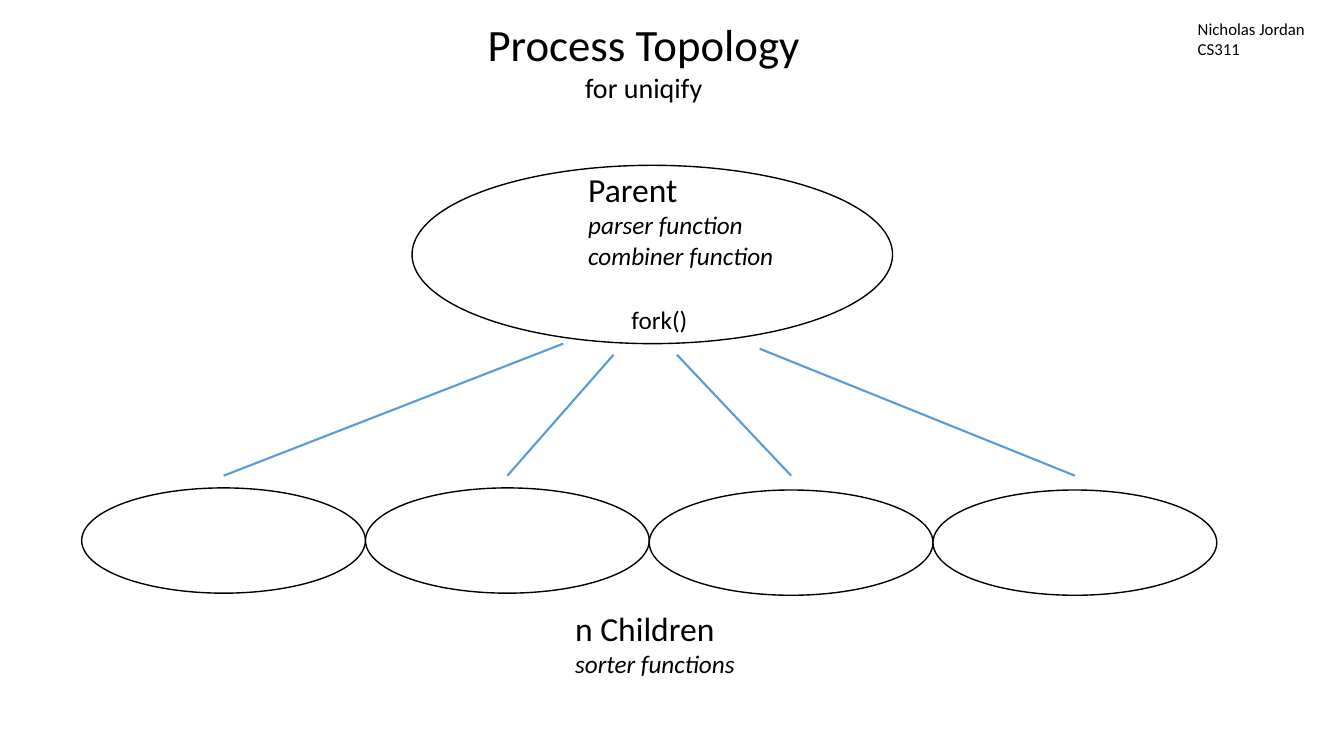
"""Build the process topology slide for uniqify."""
from dataclasses import dataclass
from pptx import Presentation
from pptx.dml.color import RGBColor as Color
from pptx.enum.shapes import MSO_CONNECTOR as Link, MSO_SHAPE as Shape
from pptx.enum.text import MSO_ANCHOR as Anchor, MSO_AUTO_SIZE as Fit, PP_ALIGN as Align
from pptx.oxml.ns import qn
from pptx.util import Pt
from lxml.etree import SubElement


@dataclass(frozen=True)
class Theme:
    font: str = "Calibri"
    ink: Color = Color(0, 0, 0)
    paper: Color = Color(255, 255, 255)
    link: Color = Color(0x5B, 0x9B, 0xD5)
    title: int = 32
    sub: int = 20
    head: int = 24
    body: int = 18
    note: int = 12
    edge: float = 1
    stroke: float = 1.5


THEME = Theme()
SIZE = (960.48, 540)

TITLE = [("Process Topology", THEME.title, False), ("for uniqify", THEME.sub, False)]
TITLE_BOX = (339.8, 8.6, 240.5, 69.8)
LABELS = [
    ((444.2, 213.8, 60, 28.8), [("fork()", THEME.body, False)]),
    ((413.3, 117.4, 166.3, 79.2), [
        ("Parent", THEME.head, False),
        ("parser function", THEME.body, True),
        ("combiner function", THEME.body, True),
    ]),
    ((403.9, 430.6, 140, 57.6), [
        ("n Children", THEME.head, False),
        ("sorter functions", THEME.body, True),
    ]),
    ((848.9, 10.1, 100, 36), [
        ("Nicholas Jordan", THEME.note, False),
        ("CS311", THEME.note, False),
    ]),
]
PARENT = (294.5, 118.1, 343.4, 127.4)
CHILD_LEFT, CHILD_WIDE, CHILD_HIGH = 58.4, 202.8, 75.2
CHILD_TOPS = [348.5, 348.5, 350, 350]
STARTS = [(402.5, 245.5), (438.5, 253.4), (483.8, 253.4), (542.9, 249.1)]
LINK_END = 339.8


def points(*nums):
    return [Pt(num) for num in nums]


def write(frame, lines, align):
    frame.word_wrap = True
    frame.auto_size = Fit.NONE
    frame.vertical_anchor = Anchor.TOP
    for i, (text, size, slant) in enumerate(lines):
        para = frame.add_paragraph() if i else frame.paragraphs[0]
        para.alignment = align
        run = para.add_run()
        run.text = text
        font = run.font
        font.name, font.size, font.italic = THEME.font, Pt(size), slant
        font.color.rgb = THEME.ink


def oval(shapes, box):
    node = shapes.add_shape(Shape.OVAL, *points(*box))
    node.shadow.inherit = False
    node.fill.solid()
    node.fill.fore_color.rgb = THEME.paper
    node.line.color.rgb = THEME.ink
    node.line.width = Pt(THEME.edge)


def connect(shapes, start, end):
    line = shapes.add_connector(Link.STRAIGHT, *points(*start, *end))
    line.line.color.rgb = THEME.link
    line.line.width = Pt(THEME.stroke)
    SubElement(line._element.spPr, qn("a:effectLst"))


def main():
    deck = Presentation()
    deck.slide_width, deck.slide_height = points(*SIZE)
    shapes = deck.slides.add_slide(deck.slide_layouts[5]).shapes

    title = shapes.title
    title.left, title.top, title.width, title.height = points(*TITLE_BOX)
    write(title.text_frame, TITLE, Align.CENTER)

    oval(shapes, PARENT)
    for i, (top, start) in enumerate(zip(CHILD_TOPS, STARTS)):
        left = CHILD_LEFT + i * CHILD_WIDE
        oval(shapes, (left, top, CHILD_WIDE, CHILD_HIGH))
        connect(shapes, start, (left + CHILD_WIDE / 2, LINK_END))

    for box, lines in LABELS:
        write(shapes.add_textbox(*points(*box)).text_frame, lines, Align.LEFT)

    deck.save("out.pptx")


if __name__ == "__main__":
    main()
